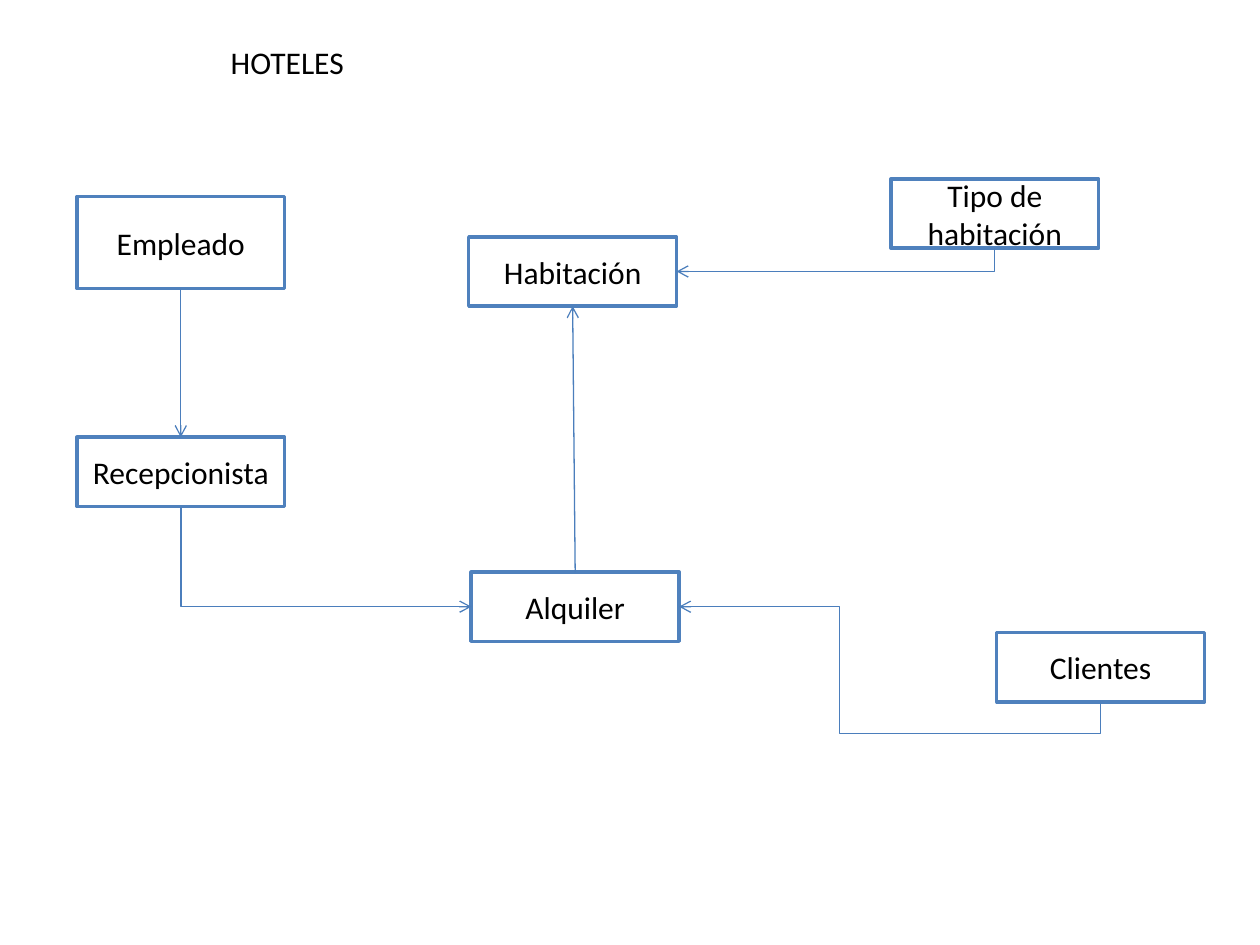
from dataclasses import dataclass

from lxml.etree import SubElement
from pptx import Presentation
from pptx.dml.color import RGBColor
from pptx.enum.shapes import MSO_CONNECTOR, MSO_SHAPE
from pptx.enum.text import MSO_ANCHOR, PP_ALIGN
from pptx.oxml.ns import qn
from pptx.util import Inches, Pt

BOX_W, BOX_H = 1.65, 0.55
TEXT, FILL, BORDER, ARROW = "000000", "FFFFFF", "4F81BD", "4B7EBC"
FONT = {"name": "Calibri", "size": Pt(18), "bold": False}


@dataclass
class Entity:
    name: str
    left: float
    top: float
    height: float = BOX_H

    @property
    def top_mid(self):
        return self.left + BOX_W / 2, self.top

    @property
    def bottom_mid(self):
        return self.left + BOX_W / 2, self.top + self.height

    @property
    def left_mid(self):
        return self.left, self.top + self.height / 2

    @property
    def right_mid(self):
        return self.left + BOX_W, self.top + self.height / 2


def color(value: str) -> RGBColor:
    return RGBColor.from_string(value)


def write(tf, text: str) -> None:
    tf.word_wrap = True
    p = tf.paragraphs[0]
    p.alignment = PP_ALIGN.CENTER
    r = p.add_run()
    r.text = text
    for key, value in FONT.items():
        setattr(r.font, key, value)
    r.font.color.rgb = color(TEXT)


def draw_entity(s, e: Entity) -> None:
    sp = s.shapes.add_shape(MSO_SHAPE.RECTANGLE, Inches(e.left), Inches(e.top),
                            Inches(BOX_W), Inches(e.height))
    sp.shadow.inherit = False
    sp.fill.solid()
    sp.fill.fore_color.rgb = color(FILL)
    sp.line.color.rgb = color(BORDER)
    sp.line.width = Pt(2)
    sp.text_frame.vertical_anchor = MSO_ANCHOR.MIDDLE
    write(sp.text_frame, e.name)


def draw_arrow(s, start: tuple, end: tuple, kind=MSO_CONNECTOR.STRAIGHT):
    cxn = s.shapes.add_connector(kind, *(Inches(v) for v in (*start, *end)))
    cxn.line.color.rgb = color(ARROW)
    cxn.line.width = Pt(0.75)
    SubElement(cxn.line._get_or_add_ln(), qn("a:tailEnd"), type="arrow")
    SubElement(cxn.element.spPr, qn("a:effectLst"))
    return cxn


def draw_elbow(s, start: tuple, end: tuple, preset: str, adjustments=()) -> None:
    """Bent arrow that leaves its start vertically, as a turned preset."""
    (x1, y1), (x2, y2) = start, end
    w, h = abs(y2 - y1), abs(x2 - x1)
    left, top = (x1 + x2 - w) / 2, (y1 + y2 - h) / 2
    cxn = draw_arrow(s, (left, top), (left + w, top + h), MSO_CONNECTOR.ELBOW)
    goes_left, goes_up = x2 < x1, y2 < y1
    spPr = cxn.element.spPr
    xfrm = spPr.find(qn("a:xfrm"))
    xfrm.set("rot", str((90 if goes_left else 270) * 60000))
    if goes_left == goes_up:
        xfrm.set("flipH", "1")
    geom = spPr.find(qn("a:prstGeom"))
    geom.set("prst", preset)
    for i, value in enumerate(adjustments, 1):
        SubElement(geom.find(qn("a:avLst")), qn("a:gd"),
                   name=f"adj{i}", fmla=f"val {round(value * 100000)}")


def main() -> None:
    prs = Presentation()
    prs.slide_width, prs.slide_height = Inches(10), Inches(7.5)
    s = prs.slides.add_slide(prs.slide_layouts[5])

    # Title
    title = s.shapes.title
    box = {"left": 0.43, "top": 0.29, "width": 3.7, "height": 0.4}
    for key, value in box.items():
        setattr(title, key, Inches(value))
    title.text_frame.vertical_anchor = MSO_ANCHOR.TOP
    write(title.text_frame, "HOTELES")

    # Entities
    room = Entity("Habitación", 3.72, 1.88)
    employee = Entity("Empleado", 0.61, 1.56, 0.73)
    clients = Entity("Clientes", 7.91, 5.02)
    rental = Entity("Alquiler", 3.74, 4.54)
    receptionist = Entity("Recepcionista", 0.61, 3.47)
    room_type = Entity("Tipo de habitación", 7.07, 1.42)
    for e in (room, employee, clients, rental, receptionist, room_type):
        draw_entity(s, e)

    # Relations
    draw_arrow(s, rental.top_mid, room.bottom_mid)
    draw_arrow(s, employee.bottom_mid, receptionist.top_mid)
    draw_elbow(s, receptionist.bottom_mid, rental.left_mid, "bentConnector2")
    draw_elbow(s, clients.bottom_mid, rental.right_mid, "bentConnector4", (-0.33, 0.62))
    draw_elbow(s, room_type.bottom_mid, room.right_mid, "bentConnector2")

    prs.save("out.pptx")


if __name__ == "__main__":
    main()
